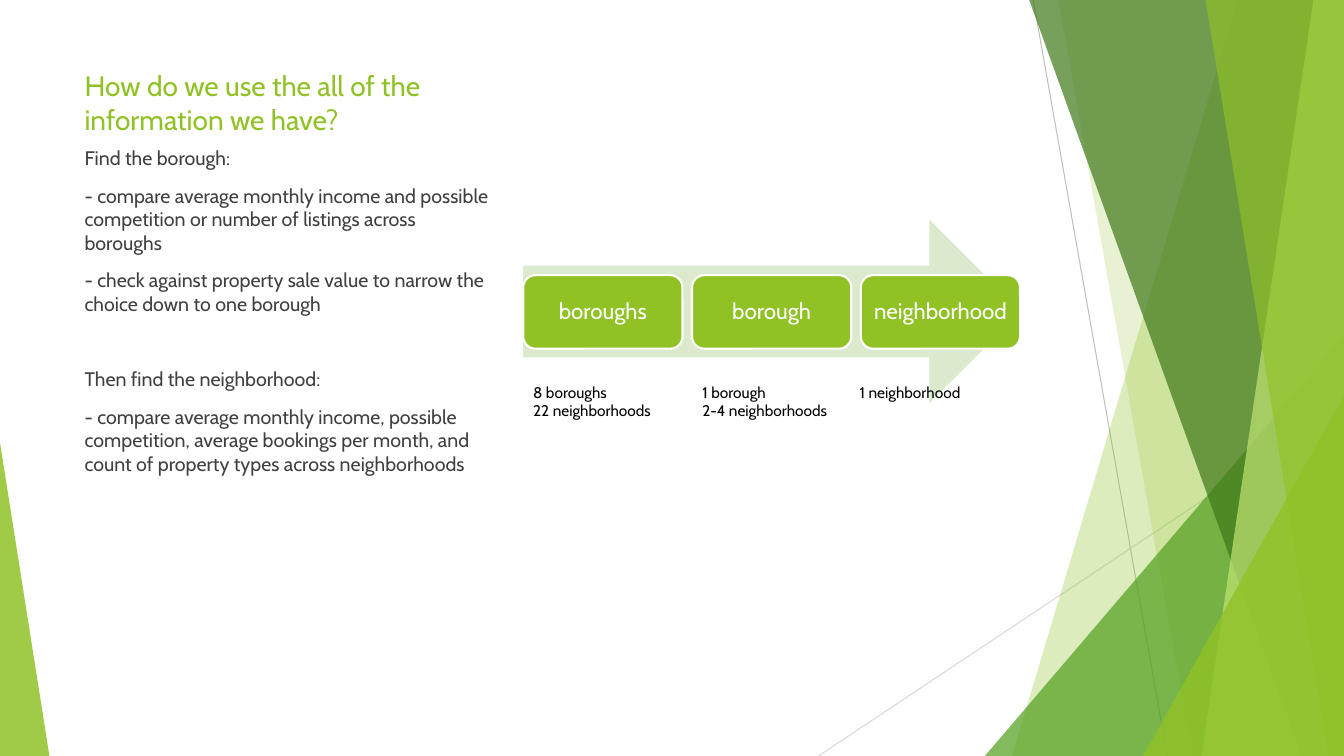
from lxml import etree
from pptx import Presentation
from pptx.dml.color import RGBColor
from pptx.enum.shapes import MSO_CONNECTOR, MSO_SHAPE
from pptx.enum.text import MSO_ANCHOR, PP_ALIGN
from pptx.oxml.ns import qn
from pptx.util import Inches, Pt

STRAIGHT = MSO_CONNECTOR.STRAIGHT
TRIANGLE, ARROW = MSO_SHAPE.ISOSCELES_TRIANGLE, MSO_SHAPE.RIGHT_ARROW
ROUNDED = MSO_SHAPE.ROUNDED_RECTANGLE
TOP, MIDDLE, BOTTOM = MSO_ANCHOR.TOP, MSO_ANCHOR.MIDDLE, MSO_ANCHOR.BOTTOM
CENTER = PP_ALIGN.CENTER

WIDTH, HEIGHT = Inches(13.333), Inches(7.5)
FONT = "Cabin"
GREEN, WHITE, BLACK, GREY = "90C226", "FFFFFF", "000000", "404040"

# Upper edge x, lower edge x, colour, opacity; each runs to the right edge
FACETS_BEHIND = [(92.1, 75.3, GREEN, 30), (78.75, 88.73, GREEN, 20)]
FACETS_FRONT = [(76.58, 96.83, "3F7819", 70), (97.73, 89.4, "C0E474", 70),
                (89.7, 98.85, GREEN, 65)]
BODY = [
    "Find the borough:",
    "- compare average monthly income and possible competition or number of "
    "listings across boroughs",
    "- check against property sale value to narrow the choice down to one borough",
    "Then find the neighborhood:",
    "- compare average monthly income, possible competition, average bookings "
    "per month, and count of property types across neighborhoods",
]
SECOND_PART = 3  # index of the paragraph that opens the second part
STAGES = ["boroughs", "borough", "neighborhood"]
# Left, width, lines
NOTES = [(38.93, 12.6, ["8 boroughs", "22 neighborhoods"]),
         (51.53, 10.88, ["1 borough", "2-4 neighborhoods"]),
         (63.23, 12, ["1 neighborhood"])]


def across(share):
    """Percent of the slide's width."""
    return round(WIDTH * share / 100)


def down(share):
    """Percent of the slide's height."""
    return round(HEIGHT * share / 100)


def area(left, top, width, height):
    return across(left), down(top), across(width), down(height)


def color(value):
    return RGBColor.from_string(value)


def paint(shape, fill, opacity=100):
    shape.shadow.inherit = False
    shape.fill.solid()
    shape.fill.fore_color.rgb = color(fill)
    shape.line.fill.background()
    if opacity < 100:
        tint = shape.fill._xPr.find(qn("a:solidFill"))[0]
        etree.SubElement(tint, qn("a:alpha")).set("val", str(opacity * 1000))


def add_line(page, start, end, stroke):
    line = page.shapes.add_connector(
        STRAIGHT, across(start[0]), down(start[1]), across(end[0]), down(end[1]))
    line.line.color.rgb = color(stroke)
    line.line.width = Pt(0.75)
    etree.SubElement(line._element.spPr, qn("a:effectLst"))


def add_facet(page, upper, lower, fill, opacity):
    builder = page.shapes.build_freeform(across(upper), 0)
    builder.add_line_segments(
        [(WIDTH, 0), (WIDTH, HEIGHT), (across(lower), HEIGHT)], close=True)
    paint(builder.convert_to_shape(), fill, opacity)


def add_triangle(page, left, top, width, peak, fill, opacity):
    triangle = page.shapes.add_shape(
        TRIANGLE, *area(left, top, width, 100 - top))
    triangle.adjustments[0] = peak
    paint(triangle, fill, opacity)


def write(frame, lines, size, ink, anchor=TOP):
    frame.word_wrap = True
    frame.vertical_anchor = anchor
    frame.text = "\n".join(lines)
    for para in frame.paragraphs:
        for span in para.runs:
            span.font.name = FONT
            span.font.size = Pt(size)
            span.font.color.rgb = color(ink)


def add_text(page, place, lines, size, ink, anchor=TOP):
    box = page.shapes.add_textbox(*area(*place))
    write(box.text_frame, lines, size, ink, anchor)
    return box.text_frame


def add_stage(page, place, label):
    stage = page.shapes.add_shape(ROUNDED, *area(*place))
    paint(stage, GREEN)
    stage.line.color.rgb = color(WHITE)
    stage.line.width = Pt(1.5)
    frame = stage.text_frame
    frame.margin_left = frame.margin_right = Inches(0.07)
    write(frame, [label], 16, WHITE, MIDDLE)
    frame.paragraphs[0].alignment = CENTER
    frame.paragraphs[0].line_spacing = 0.9


def add_backdrop(page):
    add_line(page, (76.88, 0), (86.85, 100), "BFBFBF")
    add_line(page, (100, 53.73), (60.9, 100), "D9D9D9")
    for facet in FACETS_BEHIND:
        add_facet(page, *facet)
    add_triangle(page, 73.28, 44.4, 26.72, 1, "54A021", 72)
    for facet in FACETS_FRONT:
        add_facet(page, *facet)
    add_triangle(page, 85.05, 52.4, 14.95, 1, GREEN, 80)
    add_triangle(page, 0, 58.53, 3.68, 0, GREEN, 85)


def add_explanation(page):
    add_text(page, (5.55, 0, 31.65, 18.67),
             ["How do we use the all of the information we have?"],
             20, GREEN, BOTTOM)
    body = add_text(page, (5.55, 18.67, 31.65, 69.47), BODY, 14, GREY)
    for para in body.paragraphs[1:]:
        para.space_before = Pt(10)
    body.paragraphs[SECOND_PART].space_before = Pt(37)


def add_process(page):
    arrow = page.shapes.add_shape(ARROW, *area(38.93, 29.07, 37.05, 24.27))
    paint(arrow, "DBE9CD")
    for index, label in enumerate(STAGES):
        add_stage(page, (38.93 + index * 12.56, 36.4, 11.85, 9.73), label)
    for left, width, lines in NOTES:
        add_text(page, (left, 50, width, 6.27), lines, 11, BLACK)


def main():
    deck = Presentation()
    deck.slide_width, deck.slide_height = WIDTH, HEIGHT
    page = deck.slides.add_slide(deck.slide_layouts[6])
    add_backdrop(page)
    add_explanation(page)
    add_process(page)
    deck.save("out.pptx")


if __name__ == "__main__":
    main()
